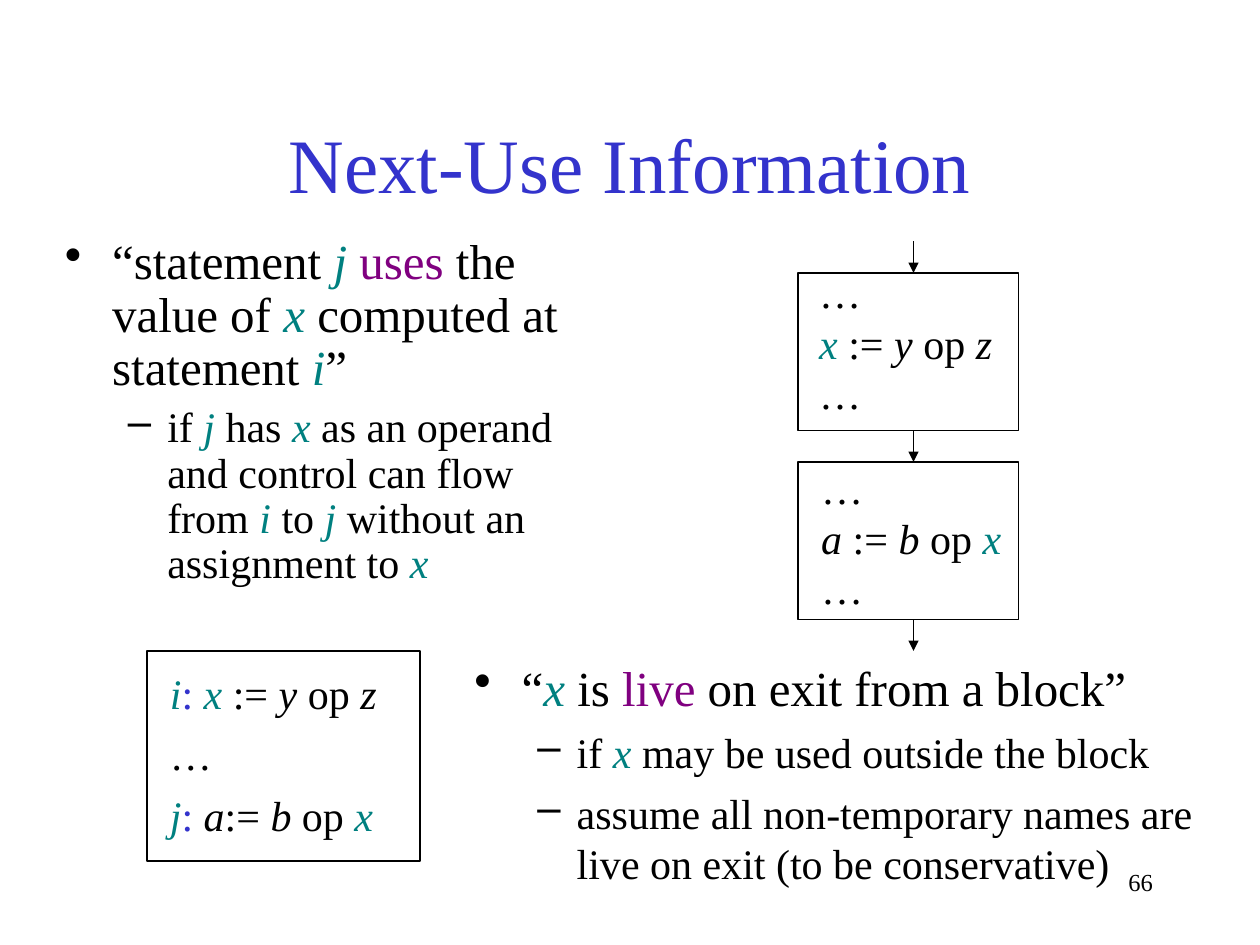
"""Build the slide on next-use information and live variables."""
from dataclasses import dataclass

from lxml import etree
from pptx import Presentation
from pptx.dml.color import RGBColor
from pptx.enum.shapes import MSO_CONNECTOR, MSO_SHAPE
from pptx.enum.text import MSO_ANCHOR, MSO_AUTO_SIZE, PP_ALIGN
from pptx.oxml.ns import qn
from pptx.util import Pt

RECTANGLE, STRAIGHT = MSO_SHAPE.RECTANGLE, MSO_CONNECTOR.STRAIGHT
LEFT, CENTER, RIGHT = PP_ALIGN.LEFT, PP_ALIGN.CENTER, PP_ALIGN.RIGHT
TOP, MIDDLE = MSO_ANCHOR.TOP, MSO_ANCHOR.MIDDLE
NO_FIT = MSO_AUTO_SIZE.NONE


@dataclass(frozen=True)
class Theme:
    font: str = "Times New Roman"
    black: str = "000000"
    white: str = "FFFFFF"
    blue: str = "3333CC"
    teal: str = "008080"
    purple: str = "800080"
    title: int = 44
    point: int = 28
    detail: int = 24
    number: int = 14
    line: float = 0.75


THEME = Theme()
PLAIN = (THEME.black, False)
NAME = (THEME.black, True)
FOCUS = (THEME.teal, True)
TERM = (THEME.purple, False)
LABEL = (THEME.blue, False)

TITLE = [[("Next-Use Information", LABEL)]]
LIVE = [
    [("“", PLAIN), ("x", FOCUS), (" is ", PLAIN), ("live", TERM),
     (" on exit from a block”", PLAIN)],
    [("if ", PLAIN), ("x", FOCUS), (" may be used outside the block", PLAIN)],
    [("assume all non-temporary names are live on exit (to be conservative)", PLAIN)],
]
USES = [
    [("“statement ", PLAIN), ("j ", FOCUS), ("uses", TERM), (" the value of ", PLAIN),
     ("x", FOCUS), (" computed at statement ", PLAIN), ("i", FOCUS), ("”", PLAIN)],
    [("if ", PLAIN), ("j", FOCUS), (" has ", PLAIN), ("x", FOCUS),
     (" as an operand and control can flow from ", PLAIN), ("i", FOCUS),
     (" to ", PLAIN), ("j", FOCUS), (" without an assignment to ", PLAIN), ("x", FOCUS)],
]
GAP = [("…", PLAIN)]
DEFINE_X = [("x", FOCUS), (" := ", PLAIN), ("y", NAME), (" op ", PLAIN), ("z", NAME)]
STATEMENTS = [
    [("i", FOCUS), (": ", LABEL), *DEFINE_X],
    GAP,
    [("j", FOCUS), (": ", LABEL), ("a", NAME), (":= ", PLAIN), ("b", NAME),
     (" op ", PLAIN), ("x", FOCUS)],
]
USE_X = [("a", NAME), (" := ", PLAIN), ("b", NAME), (" op ", PLAIN), ("x", FOCUS)]
FLOW = [
    ([GAP, DEFINE_X, GAP], (461, 149, 120, 93.6)),
    ([GAP, USE_X, GAP], (462.2, 260.6, 120, 93.6)),
]
NUMBER = [[("66", PLAIN)]]

BLOCK_LEFT, BLOCK_TOP, BLOCK_WIDTH, BLOCK_HEIGHT = 456, 156, 126, 90
ARROW_X, ARROW_LENGTH = 522, 18
LEVELS = [
    {"bullet": "•", "margin": 27, "indent": -27, "size": THEME.point, "before": 7},
    {"bullet": "–", "margin": 58.5, "indent": -22.5, "size": THEME.detail, "before": 6},
]


def color(value):
    return RGBColor.from_string(value)


def add_bullet(para, bullet, margin, indent):
    properties = para._p.get_or_add_pPr()
    properties.set("marL", str(Pt(margin)))
    properties.set("indent", str(Pt(indent)))
    tint = etree.SubElement(properties, qn("a:buClr"))
    etree.SubElement(tint, qn("a:srgbClr"), val=THEME.black)
    etree.SubElement(properties, qn("a:buChar"), char=bullet)


def write(box, paragraphs, size=THEME.detail, align=LEFT, anchor=TOP,
          before=0, spacing=1.0, bullets=False):
    frame = box.text_frame
    frame.word_wrap, frame.auto_size, frame.vertical_anchor = True, NO_FIT, anchor
    for index, spans in enumerate(paragraphs):
        para = frame.paragraphs[0] if index == 0 else frame.add_paragraph()
        level = LEVELS[min(index, 1)] if bullets else {"size": size, "before": before}
        para.alignment = align
        para.line_spacing = spacing
        para.space_before = Pt(level["before"])
        if bullets:
            para.level = min(index, 1)
            add_bullet(para, level["bullet"], level["margin"], level["indent"])
        for text, (tint, italic) in spans:
            span = para.add_run()
            span.text = text
            span.font.name, span.font.size = THEME.font, Pt(level["size"])
            span.font.italic = italic
            span.font.color.rgb = color(tint)


def add_text(page, place, paragraphs, **style):
    write(page.shapes.add_textbox(*map(Pt, place)), paragraphs, **style)


def add_frame(page, *place):
    box = page.shapes.add_shape(RECTANGLE, *map(Pt, place))
    box.shadow.inherit = False
    box.fill.solid()
    box.fill.fore_color.rgb = color(THEME.white)
    box.line.color.rgb = color(THEME.black)
    box.line.width = Pt(THEME.line)


def add_arrow(page, top):
    arrow = page.shapes.add_connector(
        STRAIGHT, Pt(ARROW_X), Pt(top), Pt(ARROW_X), Pt(top + ARROW_LENGTH))
    arrow.line.color.rgb = color(THEME.black)
    arrow.line.width = Pt(THEME.line)
    etree.SubElement(arrow.line._get_or_add_ln(), qn("a:tailEnd"), type="triangle")
    etree.SubElement(arrow._element.spPr, qn("a:effectLst"))


def main():
    deck = Presentation()
    deck.slide_width, deck.slide_height = Pt(720), Pt(540)
    page = deck.slides.add_slide(deck.slide_layouts[5])

    title = page.shapes.title
    title.left, title.top, title.width, title.height = map(Pt, (54, 48, 612, 90))
    write(title, TITLE, size=THEME.title, align=CENTER, anchor=MIDDLE)

    add_text(page, (264, 372, 432, 144), LIVE, bullets=True)
    add_text(page, (30, 132, 300, 228), USES, bullets=True, spacing=0.9)

    add_frame(page, 84, 372, 156, 120)
    add_text(page, (90, 378, 150, 114), STATEMENTS, before=6)

    step = BLOCK_HEIGHT + ARROW_LENGTH
    for index, (lines, place) in enumerate(FLOW):
        add_frame(page, BLOCK_LEFT, BLOCK_TOP + index * step, BLOCK_WIDTH, BLOCK_HEIGHT)
        add_text(page, place, lines)
    for index in range(len(FLOW) + 1):
        add_arrow(page, BLOCK_TOP - ARROW_LENGTH + index * step)

    add_text(page, (516, 492, 150, 36), NUMBER, size=THEME.number, align=RIGHT)
    deck.save("out.pptx")


if __name__ == "__main__":
    main()
